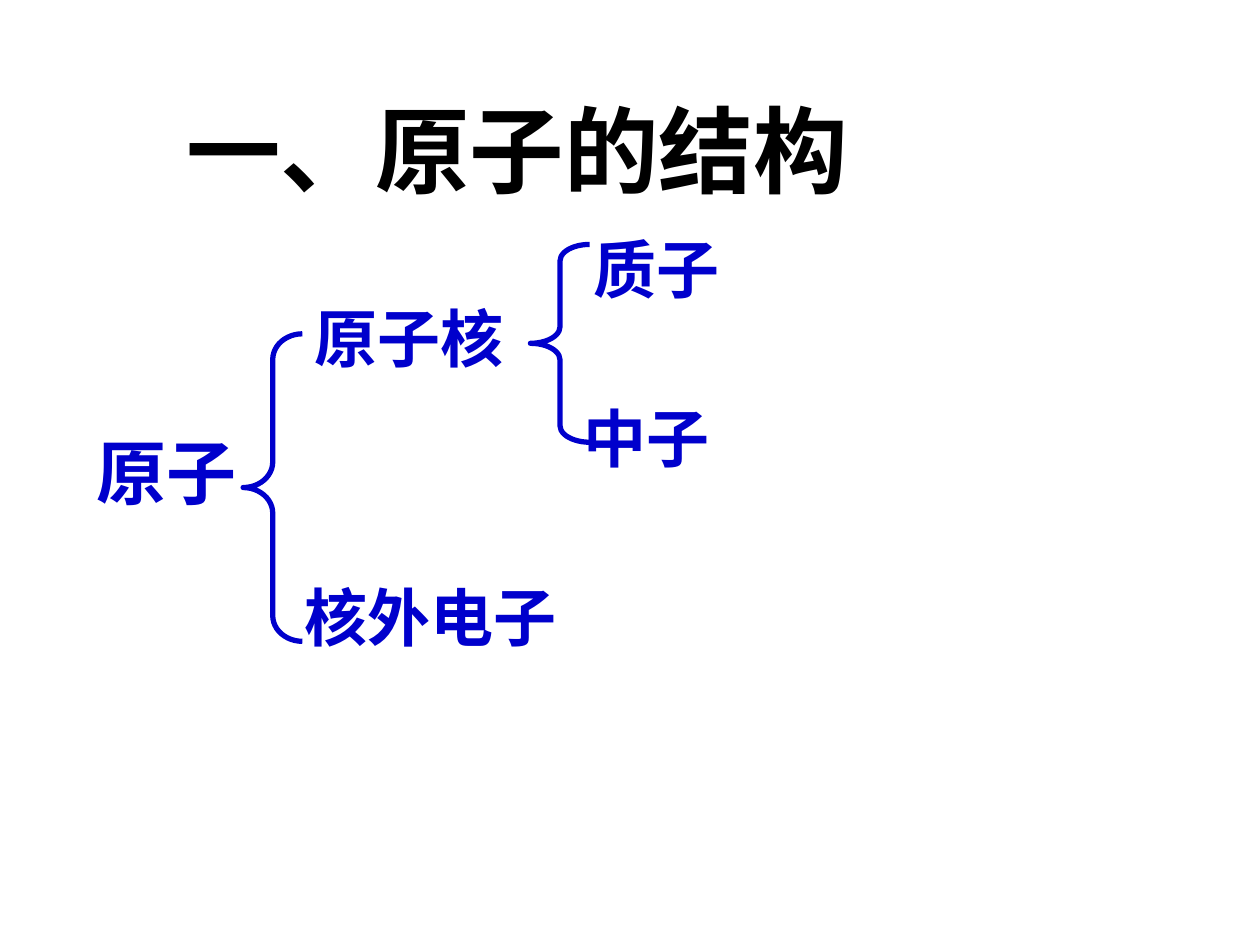
from pptx import Presentation
from pptx import util as u
from pptx.dml.color import RGBColor
from pptx.enum import shapes, text

BLACK = RGBColor(0x00, 0x00, 0x00)
BLUE = RGBColor(0x00, 0x00, 0xCC)
FONT = "Times New Roman"


def write(frame, words, size=36, color=BLUE, bold=True):
    para = frame.paragraphs[0]
    span = para.add_run()
    span.text = words
    span.font.name = FONT
    span.font.size = u.Pt(size)
    span.font.bold = bold
    span.font.color.rgb = color


class Diagram:
    line_width = u.Pt(3)
    brace_width = 0.47

    def __init__(self, page):
        self.page = page

    def label(self, words, left, top, width, height=0.7, **style):
        box = self.page.shapes.add_textbox(
            u.Inches(left), u.Inches(top), u.Inches(width), u.Inches(height))
        box.text_frame.word_wrap = True
        box.text_frame.auto_size = text.MSO_AUTO_SIZE.SHAPE_TO_FIT_TEXT
        write(box.text_frame, words, **style)

    def brace(self, left, top, height):
        brace = self.page.shapes.add_shape(
            shapes.MSO_SHAPE.LEFT_BRACE, u.Inches(left), u.Inches(top),
            u.Inches(self.brace_width), u.Inches(height))
        brace.adjustments[0] = height / 12 / self.brace_width
        brace.shadow.inherit = False
        brace.fill.background()
        brace.line.color.rgb = BLUE
        brace.line.width = self.line_width


def main():
    deck = Presentation()
    deck.slide_width = u.Inches(10)
    deck.slide_height = u.Inches(7.5)
    page = deck.slides.add_slide(deck.slide_layouts[6])
    diagram = Diagram(page)

    diagram.label("一、原子的结构", 1.38, 0.68, 5.51, 1, size=54, color=BLACK)
    diagram.label("原子", 0.67, 3.36, 1.34, 0.77, size=40)
    diagram.label("原子核", 2.4, 2.33, 1.81)
    diagram.label("核外电子", 2.32, 4.54, 2.28)
    diagram.brace(1.93, 2.65, 2.44)
    diagram.brace(4.21, 1.94, 1.57)
    diagram.label("中子", 4.53, 3.12, 2.28)
    diagram.label("质子", 4.61, 1.78, 2.28)

    deck.save("out.pptx")


if __name__ == "__main__":
    main()
